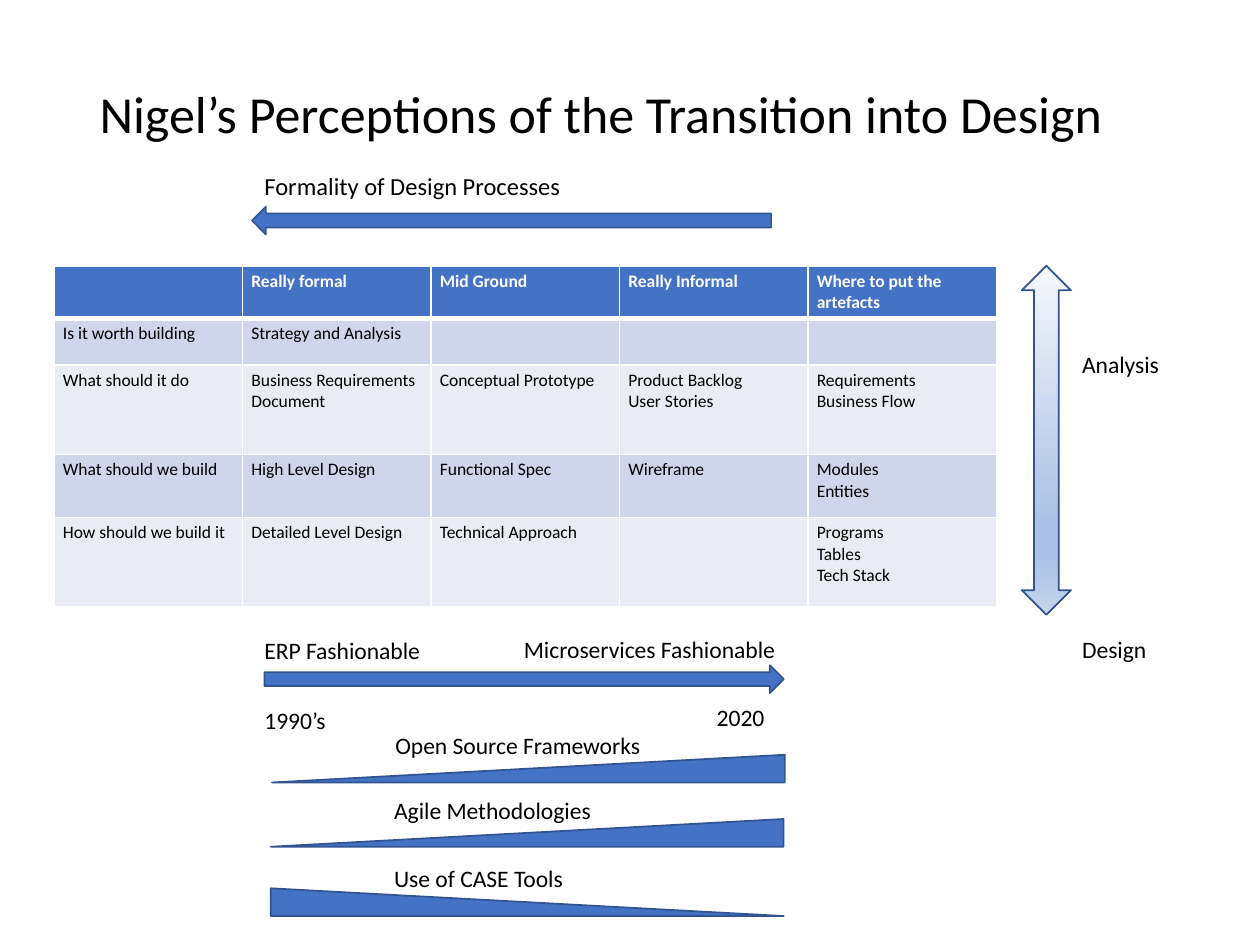
from dataclasses import dataclass

import lxml.etree
import pptx
import pptx.dml.color
import pptx.enum.shapes
import pptx.enum.text
import pptx.oxml
import pptx.oxml.ns
import pptx.util
from pptx.util import Inches

COLOURS = {
    "black": "000000",
    "white": "FFFFFF",
    "blue": "4472C4",
    "outline": "325491",
    "band_dark": "CFD5EA",
    "band_light": "E9EBF5",
}
FONT = "Calibri"
SHAPES = pptx.enum.shapes.MSO_SHAPE
# Position in per cent and colour, from top to bottom
ANALYSIS_GRADIENT = [(0, "F6F8FC"), (74, "ABC0E4"), (83, "ABC0E4"), (100, "C7D5ED")]


@dataclass
class Label:
    text: str
    left: float
    top: float
    width: float = 1.27
    size: float = 13.5


@dataclass
class Marker:
    """An arrow or wedge that shows a trend."""
    kind: int
    left: float
    top: float
    width: float
    height: float = 0.22
    flipped: bool = False


LABELS = [
    Label("Formality of Design Processes", 2, 1.31, 4.02, 14),
    Label("Analysis", 8.49, 2.73),
    Label("Design", 8.49, 4.99),
    Label("ERP Fashionable", 2, 5, 1.58),
    Label("Microservices Fashionable", 4.06, 4.99, 2.27),
    Label("1990’s", 2, 5.55),
    Label("2020", 5.59, 5.53),
    Label("Open Source Frameworks", 3.04, 5.75, 2.44),
    Label("Agile Methodologies", 3.03, 6.27, 2.44),
    Label("Use of CASE Tools", 3.03, 6.81, 2.44),
]
MARKERS = [
    Marker(SHAPES.LEFT_ARROW, 2, 1.64, 4.12),
    Marker(SHAPES.RIGHT_ARROW, 2.1, 5.28, 4.12),
    Marker(SHAPES.RIGHT_TRIANGLE, 2.16, 5.99, 4.07, flipped=True),
    Marker(SHAPES.RIGHT_TRIANGLE, 2.15, 6.5, 4.07, flipped=True),
    Marker(SHAPES.RIGHT_TRIANGLE, 2.15, 7.05, 4.07),
]
ANALYSIS_ARROW = Marker(SHAPES.UP_DOWN_ARROW, 8.11, 2.11, 0.39, 2.77)

ROW_HEIGHTS = [0.37, 0.37, 0.71, 0.5, 0.71]
ROWS = [
    ["", "Really formal", "Mid Ground", "Really Informal", "Where to put the artefacts"],
    ["Is it worth building", "Strategy and Analysis", "", "", ""],
    ["What should it do", "Business Requirements Document", "Conceptual Prototype",
     "Product Backlog\nUser Stories", "Requirements\nBusiness Flow"],
    ["What should we build", "High Level Design", "Functional Spec", "Wireframe",
     "Modules\nEntities"],
    ["How should we build it", "Detailed Level Design", "Technical Approach", "",
     "Programs\nTables\nTech Stack"],
]


def rgb(name: str) -> pptx.dml.color.RGBColor:
    return pptx.dml.color.RGBColor.from_string(COLOURS[name])


def add_run(paragraph, text: str, size: float, colour: str = "black", bold: bool = False) -> None:
    run = paragraph.add_run()
    run.text = text
    run.font.name = FONT
    run.font.size = pptx.util.Pt(size)
    run.font.bold = bold
    run.font.color.rgb = rgb(colour)


def add_title(slide, text: str) -> None:
    title = slide.shapes.title
    title.left, title.top = Inches(0.69), Inches(0.4)
    title.width, title.height = Inches(8.62), Inches(1.05)
    frame = title.text_frame
    frame.auto_size = pptx.enum.text.MSO_AUTO_SIZE.NONE
    frame.vertical_anchor = pptx.enum.text.MSO_ANCHOR.MIDDLE
    paragraph = frame.paragraphs[0]
    paragraph.alignment = pptx.enum.text.PP_ALIGN.LEFT
    paragraph.line_spacing = 0.9
    add_run(paragraph, text, 29.7)


def add_label(slide, label: Label) -> None:
    box = slide.shapes.add_textbox(
        Inches(label.left), Inches(label.top), Inches(label.width), Inches(0.33))
    box.text_frame.word_wrap = True
    add_run(box.text_frame.paragraphs[0], label.text, label.size)


def add_marker(slide, marker: Marker):
    shape = slide.shapes.add_shape(
        marker.kind, Inches(marker.left), Inches(marker.top),
        Inches(marker.width), Inches(marker.height))
    shape.shadow.inherit = False
    shape.fill.solid()
    shape.fill.fore_color.rgb = rgb("blue")
    shape.line.color.rgb = rgb("outline")
    shape.line.width = pptx.util.Pt(1)
    if marker.flipped:
        shape._element.spPr.xfrm.set("flipH", "1")
    return shape


def fill_with_gradient(shape, stops: list[tuple[int, str]]) -> None:
    """Replace the fill by a gradient of any number of stops, running downwards."""
    stop_xml = "".join(
        f'<a:gs pos="{position * 1000}"><a:srgbClr val="{colour}"/></a:gs>'
        for position, colour in stops)
    gradient = pptx.oxml.parse_xml(
        f'<a:gradFill {pptx.oxml.ns.nsdecls("a")} rotWithShape="1">'
        f'<a:gsLst>{stop_xml}</a:gsLst><a:lin ang="5400000" scaled="0"/></a:gradFill>')
    properties = shape._element.spPr
    properties.replace(properties.find(pptx.oxml.ns.qn("a:solidFill")), gradient)


def set_borders(cell, bottom_width: float) -> None:
    """Draw white borders; they must come before the fill in the cell's XML."""
    properties = cell._tc.get_or_add_tcPr()
    widths = {"lnL": 1, "lnR": 1, "lnT": 1, "lnB": bottom_width}
    for index, (side, width) in enumerate(widths.items()):
        properties.insert(index, pptx.oxml.parse_xml(
            f'<a:{side} {pptx.oxml.ns.nsdecls("a")} w="{pptx.util.Pt(width)}"><a:solidFill>'
            f'<a:srgbClr val="{COLOURS["white"]}"/></a:solidFill></a:{side}>'))


def fill_cell(cell, text: str, row_index: int) -> None:
    header = row_index == 0
    cell.margin_left = cell.margin_right = Inches(0.07)
    cell.margin_top = cell.margin_bottom = Inches(0.04)
    cell.fill.solid()
    band = "band_dark" if row_index % 2 else "band_light"
    cell.fill.fore_color.rgb = rgb("blue" if header else band)
    set_borders(cell, 3 if header else 1)
    frame = cell.text_frame
    if not text:  # keep the empty line as small as the text
        lxml.etree.SubElement(
            frame.paragraphs[0]._p, pptx.oxml.ns.qn("a:endParaRPr"), sz="1000")
        return
    for index, line in enumerate(text.split("\n")):
        paragraph = frame.add_paragraph() if index else frame.paragraphs[0]
        add_run(paragraph, line, 10, "white" if header else "black", header)


def add_design_table(slide) -> None:
    table = slide.shapes.add_table(
        len(ROWS), len(ROWS[0]), Inches(0.43), Inches(2.11),
        Inches(7.48), Inches(sum(ROW_HEIGHTS))).table
    for row_index, (texts, height) in enumerate(zip(ROWS, ROW_HEIGHTS)):
        table.rows[row_index].height = Inches(height)
        for column_index, text in enumerate(texts):
            fill_cell(table.cell(row_index, column_index), text, row_index)


def main() -> None:
    presentation = pptx.Presentation()
    presentation.slide_width, presentation.slide_height = Inches(10), Inches(7.5)
    slide = presentation.slides.add_slide(presentation.slide_layouts[5])
    add_title(slide, "Nigel’s Perceptions of the Transition into Design")
    add_design_table(slide)
    fill_with_gradient(add_marker(slide, ANALYSIS_ARROW), ANALYSIS_GRADIENT)
    for marker in MARKERS:
        add_marker(slide, marker)
    for label in LABELS:
        add_label(slide, label)
    presentation.save("out.pptx")


if __name__ == "__main__":
    main()
